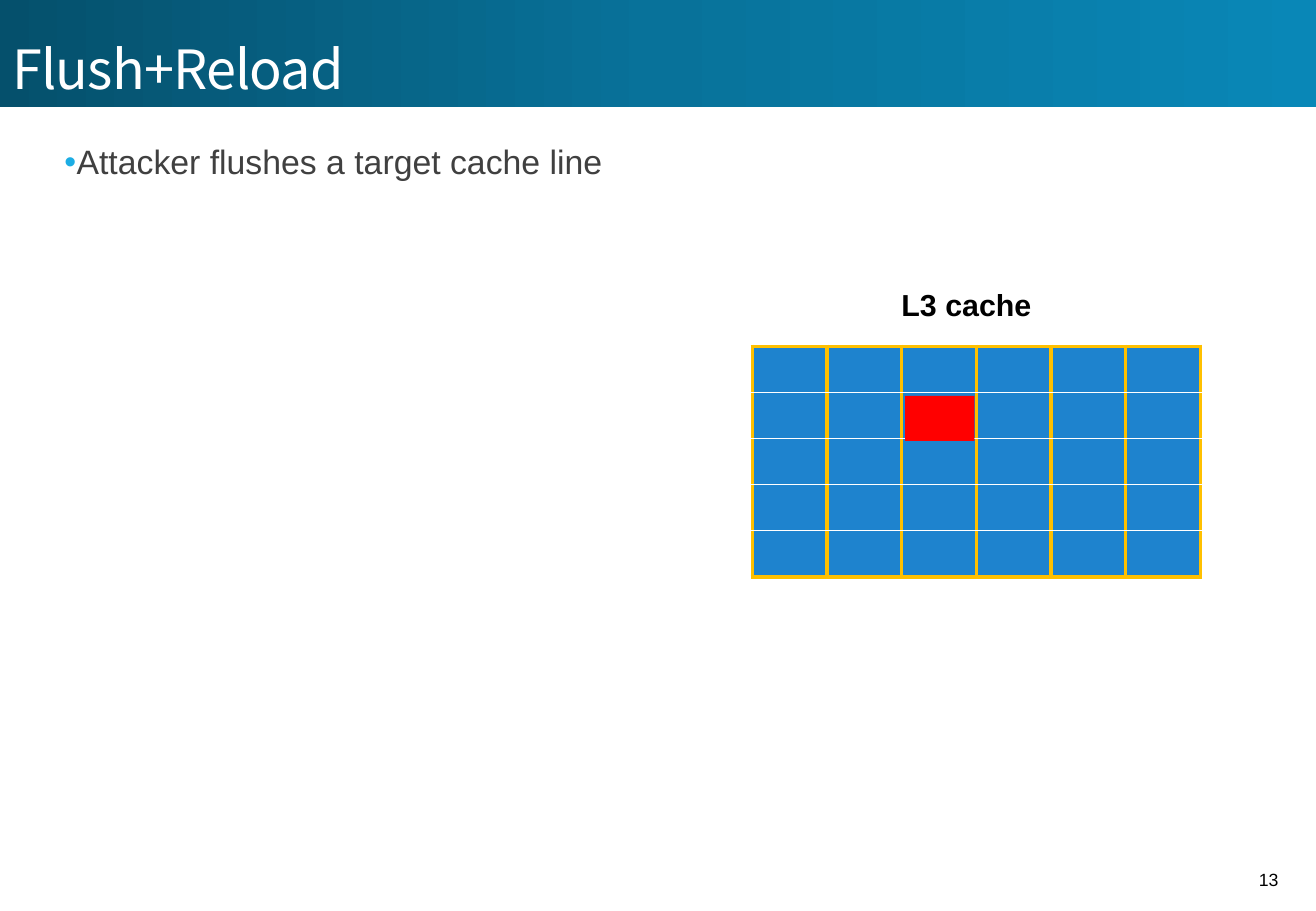
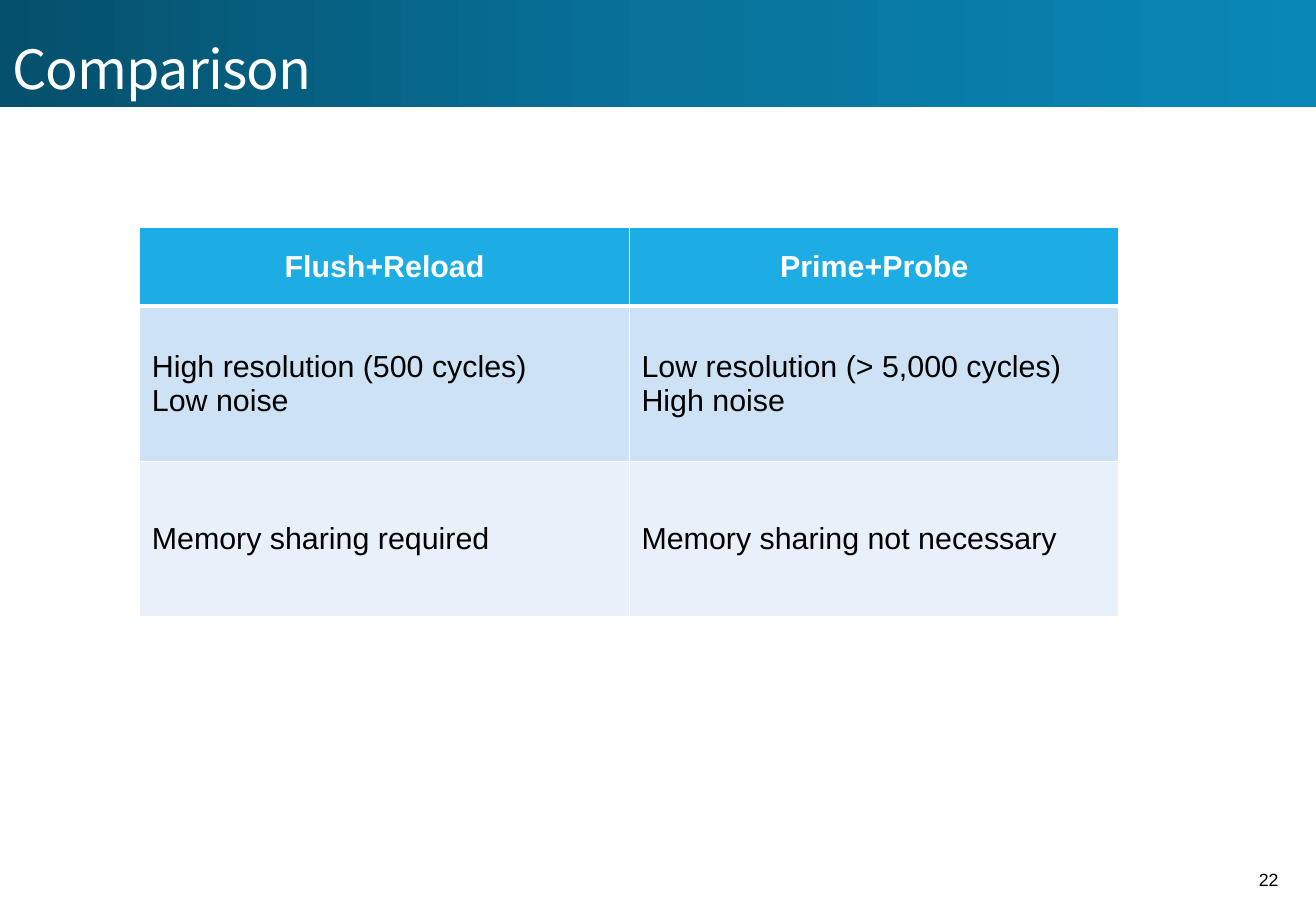
import copy
from dataclasses import dataclass, field
from typing import Any

import lxml.etree
import pptx
import pptx.dml.color
import pptx.enum.shapes
import pptx.enum.text
import pptx.oxml
import pptx.oxml.ns
import pptx.util

Inches = pptx.util.Inches
Pt = pptx.util.Pt
RGBColor = pptx.dml.color.RGBColor
Align = pptx.enum.text.PP_ALIGN
Anchor = pptx.enum.text.MSO_ANCHOR
qn = pptx.oxml.ns.qn

WHITE = RGBColor(0xFF, 0xFF, 0xFF)
BLACK = RGBColor(0x00, 0x00, 0x00)
GREY = RGBColor(0x40, 0x40, 0x40)
CYAN = RGBColor(0x1C, 0xAD, 0xE4)
PALE_BLUE = RGBColor(0xCD, 0xE3, 0xF5)
PALER_BLUE = RGBColor(0xE8, 0xF1, 0xFA)
CACHE_BLUE = RGBColor(0x1E, 0x83, 0xCE)
GOLD = RGBColor(0xFF, 0xC0, 0x00)
RED = RGBColor(0xFF, 0x00, 0x00)
BAND_STOPS = (
    (0.0, RGBColor(0x05, 0x50, 0x6C)),
    (0.5, RGBColor(0x08, 0x72, 0x9A)),
    (1.0, RGBColor(0x09, 0x87, 0xB7)),
)

SLIDE_WIDTH, SLIDE_HEIGHT = 10.83, 7.5
TITLE_AND_CONTENT, TITLE_ONLY = 1, 5


@dataclass(frozen=True)
class Box:
    left: float
    top: float
    width: float
    height: float

    def lengths(self) -> tuple[int, ...]:
        return tuple(Inches(value) for value in (self.left, self.top, self.width, self.height))


@dataclass(frozen=True)
class TextStyle:
    size: float
    color: RGBColor
    name: str = "Arial"
    bold: bool = False
    paragraph: dict[str, Any] = field(default_factory=dict)


@dataclass(frozen=True)
class Border:
    color: RGBColor
    width: float


TITLE_STYLE = TextStyle(32, WHITE, "Noto Sans CJK KR",
                        paragraph={"alignment": Align.LEFT, "line_spacing": 0.85})
BULLET_STYLE = TextStyle(20, GREY, paragraph={
    "line_spacing": 0.9, "space_before": Pt(0), "space_after": Pt(2)})
NUMBER_STYLE = TextStyle(10.5, BLACK, paragraph={"alignment": Align.RIGHT})
LABEL_STYLE = TextStyle(18, BLACK, bold=True)
HEADER_STYLE = TextStyle(18, WHITE, bold=True, paragraph={"alignment": Align.CENTER})
CELL_STYLE = TextStyle(18, BLACK)

THIN_WHITE = Border(WHITE, 1)
THICK_WHITE = Border(WHITE, 3)
GOLD_EDGE = Border(GOLD, 2.25)


def apply_format(target: Any, values: dict[str, Any]) -> None:
    for name, value in values.items():
        setattr(target, name, value)


def write_text(text_frame: Any, lines: tuple[str, ...], style: TextStyle) -> None:
    for index, line in enumerate(lines):
        paragraph = text_frame.paragraphs[0] if index == 0 else text_frame.add_paragraph()
        run = paragraph.add_run()
        run.text = line
        apply_format(paragraph, style.paragraph)
        apply_format(run.font, {"size": Pt(style.size), "name": style.name, "bold": style.bold})
        run.font.color.rgb = style.color


def place(shape: Any, box: Box) -> None:
    apply_format(shape, dict(zip(("left", "top", "width", "height"), box.lengths())))


def add_text(slide: Any, box: Box, text: str, style: TextStyle, **frame_format: Any) -> None:
    text_frame = slide.shapes.add_textbox(*box.lengths()).text_frame
    apply_format(text_frame, frame_format)
    write_text(text_frame, (text,), style)


def add_title_band(title: Any, text: str) -> None:
    place(title, Box(0, 0, SLIDE_WIDTH, 0.88))
    title.fill.gradient()
    title.fill.gradient_angle = 0
    stop_list = title._element.spPr.find(".//" + qn("a:gsLst"))
    stop_list.append(copy.deepcopy(stop_list[0]))
    for stop, (position, color) in zip(title.fill.gradient_stops, BAND_STOPS):
        stop.position = position
        stop.color.rgb = color
    apply_format(title.text_frame, {
        "vertical_anchor": Anchor.BOTTOM, "word_wrap": True,
        "auto_size": pptx.enum.text.MSO_AUTO_SIZE.NONE})
    write_text(title.text_frame, (text,), TITLE_STYLE)
    title.text_frame.paragraphs[0].runs[0]._r.get_or_add_rPr().set("spc", "-50")


def add_slide(presentation: Any, layout: int, title: str, number: int) -> Any:
    slide = presentation.slides.add_slide(presentation.slide_layouts[layout])
    add_title_band(slide.shapes.title, title)
    add_text(slide, Box(10.11, 7.04, 0.51, 0.4), str(number), NUMBER_STYLE,
             word_wrap=True, vertical_anchor=Anchor.MIDDLE)
    return slide


def fill_bullet_body(body: Any, text: str) -> None:
    place(body, Box(0.53, 1.15, 9.83, 5.47))
    apply_format(body.text_frame, {
        "margin_left": 0, "margin_right": 0, "vertical_anchor": Anchor.TOP,
        "auto_size": pptx.enum.text.MSO_AUTO_SIZE.NONE})
    properties = body.text_frame.paragraphs[0]._p.get_or_add_pPr()
    properties.set("marL", str(Inches(0.1)))
    properties.set("indent", str(Inches(-0.22)))
    color = lxml.etree.SubElement(properties, qn("a:buClr"))
    lxml.etree.SubElement(color, qn("a:srgbClr"), val=str(CYAN))
    lxml.etree.SubElement(properties, qn("a:buFont"), typeface="Arial")
    lxml.etree.SubElement(properties, qn("a:buChar"), char="•")
    write_text(body.text_frame, (text,), BULLET_STYLE)


def add_plain_table(slide: Any, left: float, top: float,
                    widths: list[float], heights: list[float]) -> Any:
    box = Box(left, top, sum(widths), sum(heights))
    table = slide.shapes.add_table(len(heights), len(widths), *box.lengths()).table
    apply_format(table, {"first_row": False, "horz_banding": False})
    for column, width in zip(table.columns, widths):
        column.width = Inches(width)
    for row, height in zip(table.rows, heights):
        row.height = Inches(height)
    return table


def style_cell(cell: Any, fill: RGBColor, left: Border, right: Border,
               top: Border, bottom: Border) -> None:
    properties = cell._tc.get_or_add_tcPr()
    for tag, border in zip(("lnL", "lnR", "lnT", "lnB"), (left, right, top, bottom)):
        line = lxml.etree.SubElement(properties, qn(f"a:{tag}"), w=str(Pt(border.width)))
        solid = lxml.etree.SubElement(line, qn("a:solidFill"))
        lxml.etree.SubElement(solid, qn("a:srgbClr"), val=str(border.color))
    cell.fill.solid()
    cell.fill.fore_color.rgb = fill
    cell.vertical_anchor = Anchor.MIDDLE


def add_cache_grid(slide: Any) -> None:
    row_count, column_count = 5, 6
    table = add_plain_table(slide, 6.19, 2.85, [0.615] * column_count, [0.38] * row_count)
    for row in range(row_count):
        top = GOLD_EDGE if row == 0 else THIN_WHITE
        bottom = GOLD_EDGE if row == row_count - 1 else THIN_WHITE
        for column in range(column_count):
            cell = table.cell(row, column)
            apply_format(cell, {"margin_top": 0, "margin_bottom": 0})
            style_cell(cell, CACHE_BLUE, GOLD_EDGE, GOLD_EDGE, top, bottom)


def add_target_line(slide: Any) -> None:
    shape = slide.shapes.add_shape(pptx.enum.shapes.MSO_SHAPE.RECTANGLE,
                                   *Box(7.45, 3.26, 0.57, 0.37).lengths())
    shape.shadow.inherit = False
    shape.fill.solid()
    shape.fill.fore_color.rgb = RED
    shape.line.fill.background()


def add_comparison_table(slide: Any) -> None:
    rows = (
        (CYAN, HEADER_STYLE, (("Flush+Reload",), ("Prime+Probe",))),
        (PALE_BLUE, CELL_STYLE, (("High resolution (500 cycles)", "Low noise"),
                                 ("Low resolution (> 5,000 cycles)", "High noise"))),
        (PALER_BLUE, CELL_STYLE, (("Memory sharing required",),
                                  ("Memory sharing not necessary",))),
    )
    table = add_plain_table(slide, 1.15, 1.87, [4.03] * 2, [0.65, 1.28, 1.28])
    for row, (fill, style, texts) in enumerate(rows):
        top = THICK_WHITE if row == 1 else THIN_WHITE
        bottom = THICK_WHITE if row == 0 else THIN_WHITE
        for column, lines in enumerate(texts):
            cell = table.cell(row, column)
            style_cell(cell, fill, THIN_WHITE, THIN_WHITE, top, bottom)
            write_text(cell.text_frame, lines, style)


def main() -> None:
    presentation = pptx.Presentation()
    apply_format(presentation, {"slide_width": Inches(SLIDE_WIDTH),
                                "slide_height": Inches(SLIDE_HEIGHT)})

    flush_slide = add_slide(presentation, TITLE_AND_CONTENT, "Flush+Reload", 13)
    fill_bullet_body(flush_slide.placeholders[1], "Attacker flushes a target cache line")
    add_cache_grid(flush_slide)
    add_target_line(flush_slide)
    add_text(flush_slide, Box(7.32, 2.31, 1.28, 0.4), "L3 cache", LABEL_STYLE, word_wrap=False)

    comparison_slide = add_slide(presentation, TITLE_ONLY, "Comparison", 22)
    add_comparison_table(comparison_slide)

    presentation.save("out.pptx")


if __name__ == "__main__":
    main()
